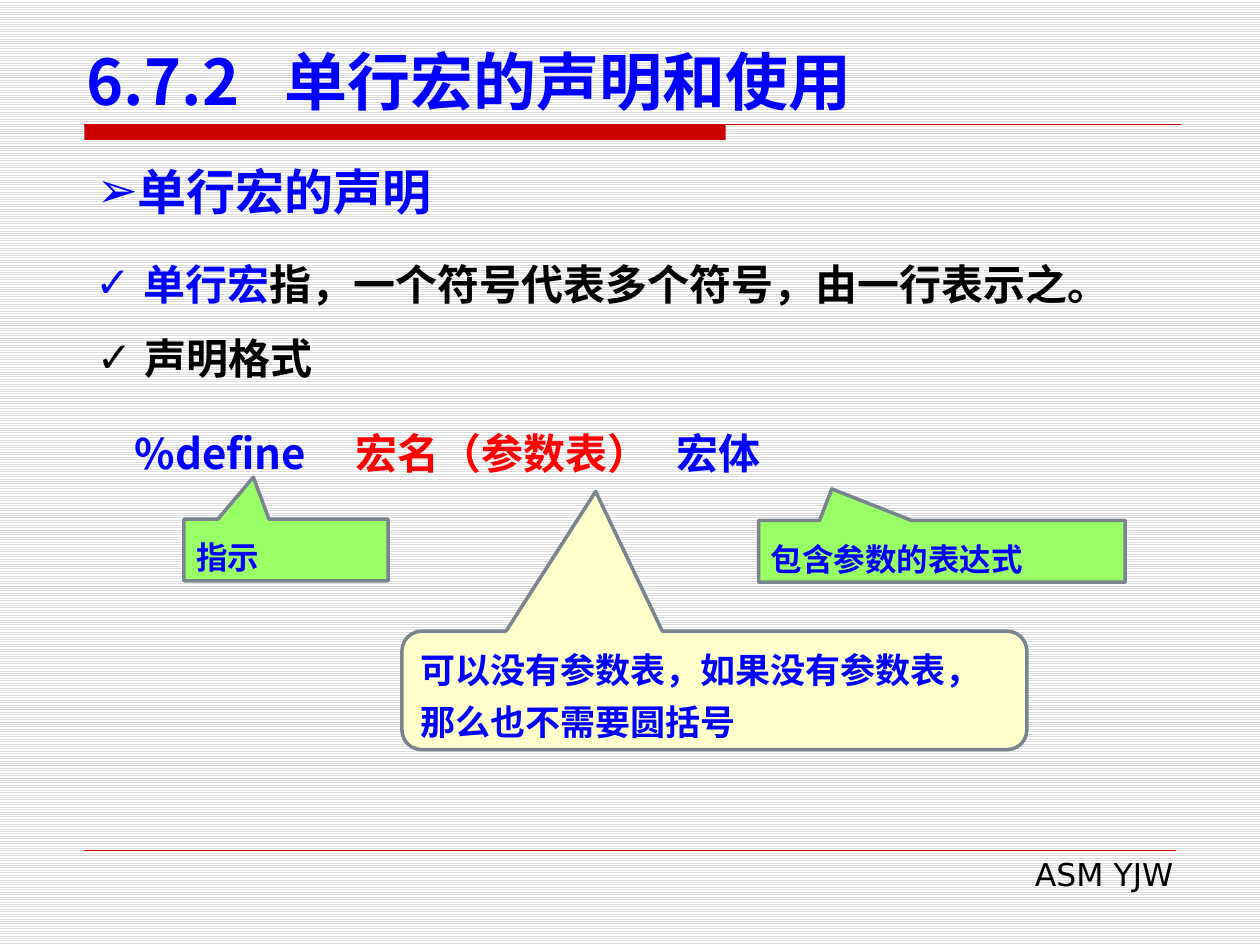
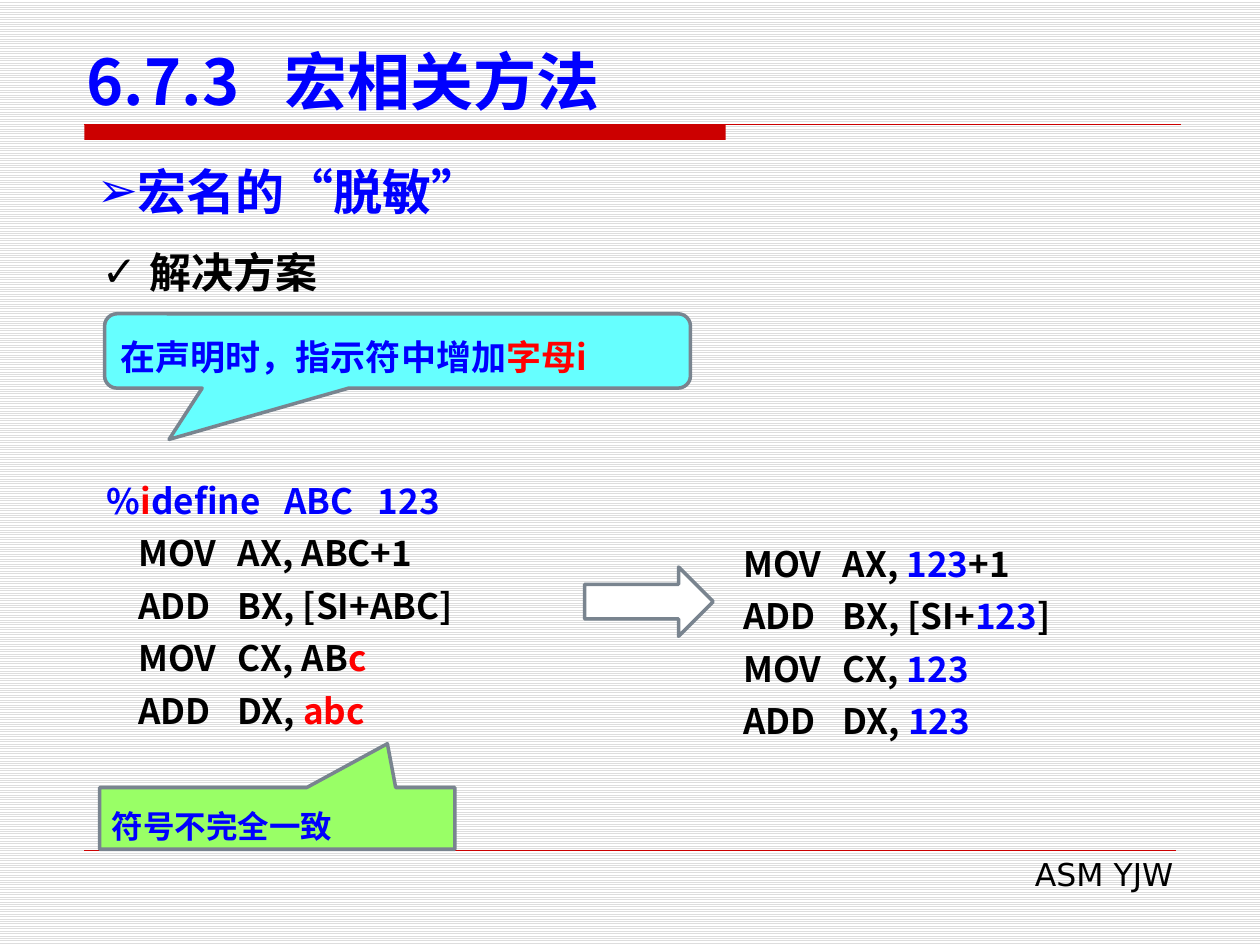
from dataclasses import dataclass

from lxml import etree
from pptx import Presentation
from pptx.dml.color import RGBColor
from pptx.enum.dml import MSO_PATTERN
from pptx.enum.shapes import MSO_CONNECTOR, MSO_SHAPE
from pptx.enum.text import MSO_ANCHOR, PP_ALIGN
from pptx.oxml.ns import qn
from pptx.util import Inches, Pt

STRAIGHT = MSO_CONNECTOR.STRAIGHT
RECTANGLE = MSO_SHAPE.RECTANGLE
RIGHT_ARROW = MSO_SHAPE.RIGHT_ARROW
SQUARE_CALLOUT = MSO_SHAPE.RECTANGULAR_CALLOUT
ROUND_CALLOUT = MSO_SHAPE.ROUNDED_RECTANGULAR_CALLOUT
TOP, MIDDLE, BOTTOM = MSO_ANCHOR.TOP, MSO_ANCHOR.MIDDLE, MSO_ANCHOR.BOTTOM
LEFT, RIGHT, JUSTIFY = PP_ALIGN.LEFT, PP_ALIGN.RIGHT, PP_ALIGN.JUSTIFY
LIGHT_HORIZONTAL = MSO_PATTERN.LIGHT_HORIZONTAL

NOTO = "Noto Sans CJK SC"
DEJAVU = "DejaVu Sans"
BLUE, RED, BLACK, WHITE = "0000FF", "FF0000", "000000", "FFFFFF"
BAND_RED, STRIPE, OUTLINE = "CC0000", "DDDDDD", "79848F"
GREEN, CREAM, CYAN = "99FF66", "FFFFCC", "66FFFF"
CODE_TABS = (0.25, 1.04)


@dataclass(frozen=True)
class Span:
    text: str
    color: str = BLACK


@dataclass(frozen=True)
class Line:
    spans: tuple[Span, ...]
    size: int = 24
    font: str = NOTO
    bold: bool = True
    align: PP_ALIGN = LEFT
    spacing: int = 0
    before: int = 0
    bullet: str = ""
    hanging: float = 0
    tabs: tuple[float, ...] = ()


@dataclass(frozen=True)
class Callout:
    kind: MSO_SHAPE
    area: tuple[float, float, float, float]
    tip: tuple[float, float]
    fill: str
    spans: tuple[Span, ...]
    size: int = 18
    font: str = DEJAVU


def rgb(color: str) -> RGBColor:
    return RGBColor.from_string(color)


def inches(values) -> list:
    return [Inches(value) for value in values]


def add_paragraph_marks(para, line: Line) -> None:
    properties = para._p.get_or_add_pPr()
    if line.bullet:
        properties.set("marL", str(Inches(line.hanging)))
        properties.set("indent", str(-Inches(line.hanging)))
        etree.SubElement(properties, qn("a:buFont"), typeface=DEJAVU)
        etree.SubElement(properties, qn("a:buChar"), char=line.bullet)
    if line.tabs:
        stops = etree.SubElement(properties, qn("a:tabLst"))
        for stop in line.tabs:
            etree.SubElement(stops, qn("a:tab"), pos=str(Inches(stop)), algn="l")


def write_text(shape, lines: list[Line], *, anchor=TOP) -> None:
    frame = shape.text_frame
    frame.word_wrap = True
    frame.vertical_anchor = anchor
    for index, line in enumerate(lines):
        para = frame.add_paragraph() if index else frame.paragraphs[0]
        para.alignment = line.align
        if line.spacing:
            para.line_spacing = Pt(line.spacing)
        if line.before:
            para.space_before = Pt(line.before)
        add_paragraph_marks(para, line)
        for span in line.spans:
            run = para.add_run()
            run.text = span.text
            run.font.size = Pt(line.size)
            run.font.bold = line.bold
            run.font.name = line.font
            run.font.color.rgb = rgb(span.color)
            east_asian = etree.SubElement(run._r.get_or_add_rPr(), qn("a:ea"))
            east_asian.set("typeface", NOTO)


def add_text(page, area, lines: list[Line], *, anchor=TOP) -> None:
    write_text(page.shapes.add_textbox(*inches(area)), lines, anchor=anchor)


def add_filled(page, kind, area, fill: str, *, outline: str = ""):
    shape = page.shapes.add_shape(kind, *inches(area))
    shape.shadow.inherit = False
    shape.fill.solid()
    shape.fill.fore_color.rgb = rgb(fill)
    if outline:
        shape.line.color.rgb = rgb(outline)
        shape.line.width = Pt(2)
    else:
        shape.line.fill.background()
    return shape


def add_callout(page, callout: Callout) -> None:
    shape = add_filled(page, callout.kind, callout.area, callout.fill, outline=OUTLINE)
    for index, value in enumerate(callout.tip):
        shape.adjustments[index] = value
    line = Line(callout.spans, size=callout.size, font=callout.font, spacing=30)
    write_text(shape, [line], anchor=MIDDLE)


def add_rule(page, right: float, top: float, width: float) -> None:
    rule = page.shapes.add_connector(STRAIGHT, *inches((0.67, top, right, top)))
    rule.line.color.rgb = rgb(BAND_RED)
    rule.line.width = Pt(width)
    etree.SubElement(rule._element.spPr, qn("a:effectLst"))


def check_line(*spans: Span) -> Line:
    return Line(spans, spacing=36, bullet="✓", hanging=0.38)


def code_line(*spans: Span, tabs=CODE_TABS) -> Line:
    return Line(spans, size=20, spacing=30, tabs=tabs)


def add_page(deck, title: str, heading: str):
    page = deck.slides.add_slide(deck.slide_layouts[6])
    add_filled(page, RECTANGLE, (0.67, 0.99, 5.09, 0.12), BAND_RED)
    add_rule(page, 9.37, 0.99, 0.75)
    add_rule(page, 9.33, 6.75, 0.25)
    footer = Line((Span("ASM YJW"),), size=18, font=DEJAVU, bold=False, align=RIGHT)
    add_text(page, (3.82, 6.74, 5.59, 0.4), [footer])
    title_line = Line((Span(title, BLUE),), size=36, tabs=(1.57,))
    add_text(page, (0.59, 0.28, 9.06, 0.71), [title_line], anchor=BOTTOM)
    heading_line = Line(
        (Span(heading, BLUE),), size=28, font=DEJAVU, align=JUSTIFY, bullet="➢"
    )
    add_text(page, (0.67, 1.23, 8.66, 0.57), [heading_line])
    return page


def build_declaration(deck) -> None:
    page = add_page(deck, "6.7.2\t单行宏的声明和使用", "单行宏的声明")
    meaning = check_line(
        Span("单行宏", BLUE), Span("指，一个符号代表多个符号，由一行表示之。")
    )
    add_text(page, (0.66, 1.9, 8.66, 0.61), [meaning])
    syntax = Line(
        (Span("\t%define\t", BLUE), Span("宏名（参数表）", RED), Span("\t宏体", BLUE)),
        spacing=36,
        before=18,
        tabs=(0.3, 2.05, 4.6),
    )
    add_text(page, (0.67, 2.49, 8.66, 1.36), [check_line(Span("声明格式")), syntax])
    callouts = [
        Callout(SQUARE_CALLOUT, (1.46, 4.12, 1.62, 0.49), (-0.16, -1.18), GREEN,
                (Span("指示", BLUE),)),
        Callout(SQUARE_CALLOUT, (6.02, 4.13, 2.91, 0.49), (-0.3, -1.01), GREEN,
                (Span("包含参数的表达式", BLUE),)),
        Callout(ROUND_CALLOUT, (3.19, 5.01, 4.96, 0.94), (-0.19, -1.68), CREAM,
                (Span("可以没有参数表，如果没有参数表，那么也不需要圆括号", BLUE),), size=20),
    ]
    for callout in callouts:
        add_callout(page, callout)


def build_methods(deck) -> None:
    page = add_page(deck, "6.7.3\t宏相关方法", "宏名的“脱敏”")
    add_text(page, (0.71, 1.81, 5.43, 0.54), [check_line(Span("解决方案"))])
    callouts = [
        Callout(SQUARE_CALLOUT, (0.79, 6.25, 2.82, 0.49), (0.31, -1.21), GREEN,
                (Span("符号不完全一致", BLUE),)),
        Callout(ROUND_CALLOUT, (0.83, 2.49, 4.65, 0.59), (-0.39, 1.19), CYAN,
                (Span("在声明时，指示符中增加", BLUE), Span("字母i", RED)),
                size=20, font=NOTO),
    ]
    for callout in callouts:
        add_callout(page, callout)
    source_code = [
        code_line(Span("%", BLUE), Span("i", RED), Span("define\tABC\t123", BLUE),
                  tabs=(1.41, 2.15)),
        code_line(Span("\tMOV\tAX, ABC+1")),
        code_line(Span("\tADD\tBX, [SI+ABC]")),
        code_line(Span("\tMOV\tCX, AB"), Span("c", RED)),
        code_line(Span("\tADD\tDX, "), Span("abc", RED)),
    ]
    add_text(page, (0.75, 3.67, 3.7, 2.2), source_code)
    value = Span("123", BLUE)
    expanded_code = [
        code_line(Span("\tMOV\tAX, "), value, Span("+1")),
        code_line(Span("\tADD\tBX, [SI+"), value, Span("]")),
        code_line(Span("\tMOV\tCX, "), value),
        code_line(Span("\tADD\tDX, "), value),
    ]
    add_text(page, (5.55, 4.17, 3.7, 1.78), expanded_code)
    add_filled(page, RIGHT_ARROW, (4.64, 4.5, 1.02, 0.55), WHITE, outline=OUTLINE)


def main() -> None:
    deck = Presentation()
    deck.slide_width, deck.slide_height = Inches(10), Inches(7.5)
    backdrop = deck.slide_master.background.fill
    backdrop.patterned()
    backdrop.pattern = LIGHT_HORIZONTAL
    backdrop.fore_color.rgb = rgb(STRIPE)
    backdrop.back_color.rgb = rgb(WHITE)
    build_declaration(deck)
    build_methods(deck)
    deck.save("out.pptx")


if __name__ == "__main__":
    main()
